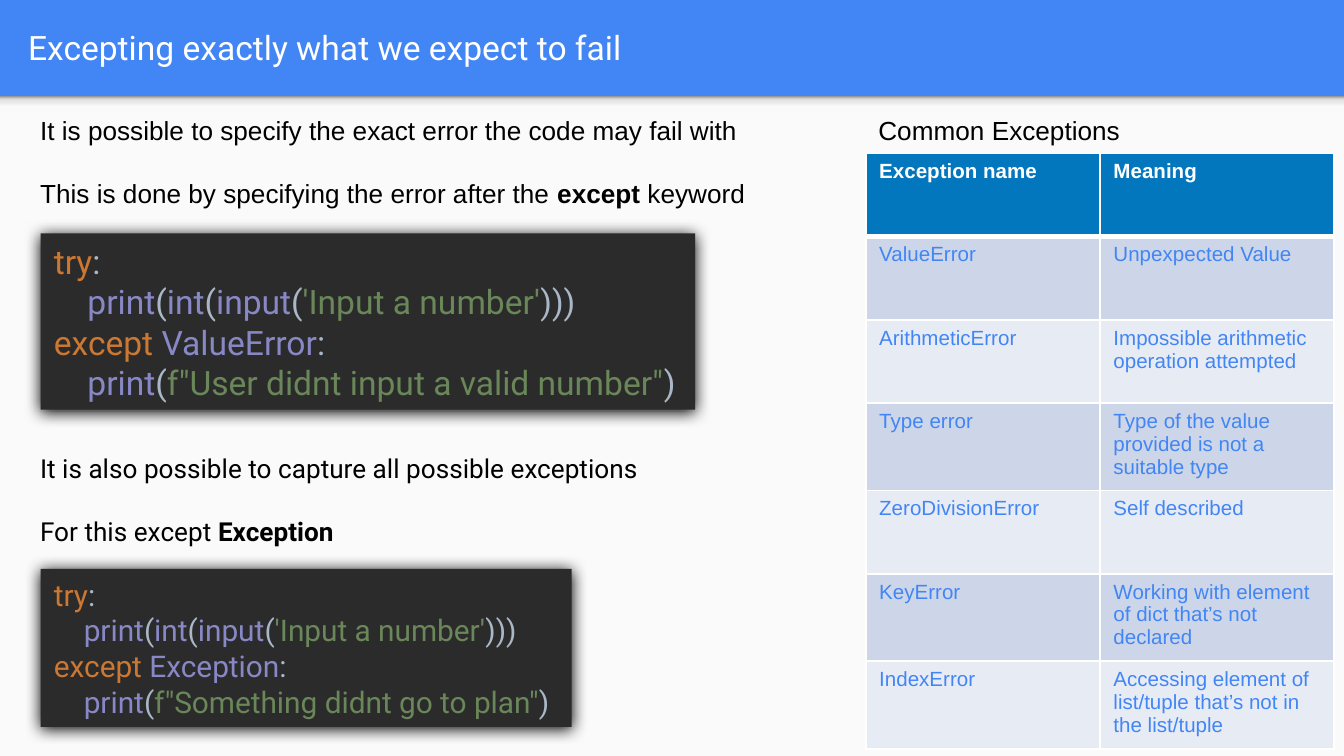
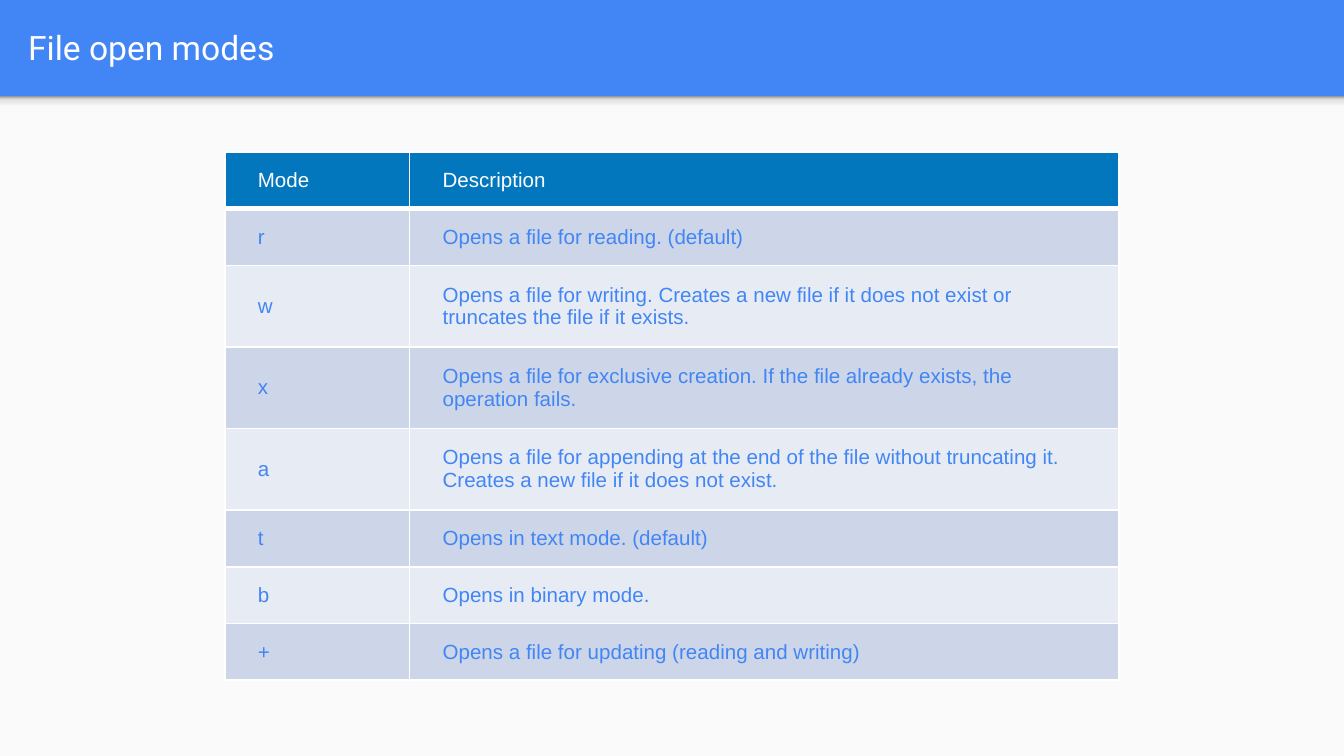
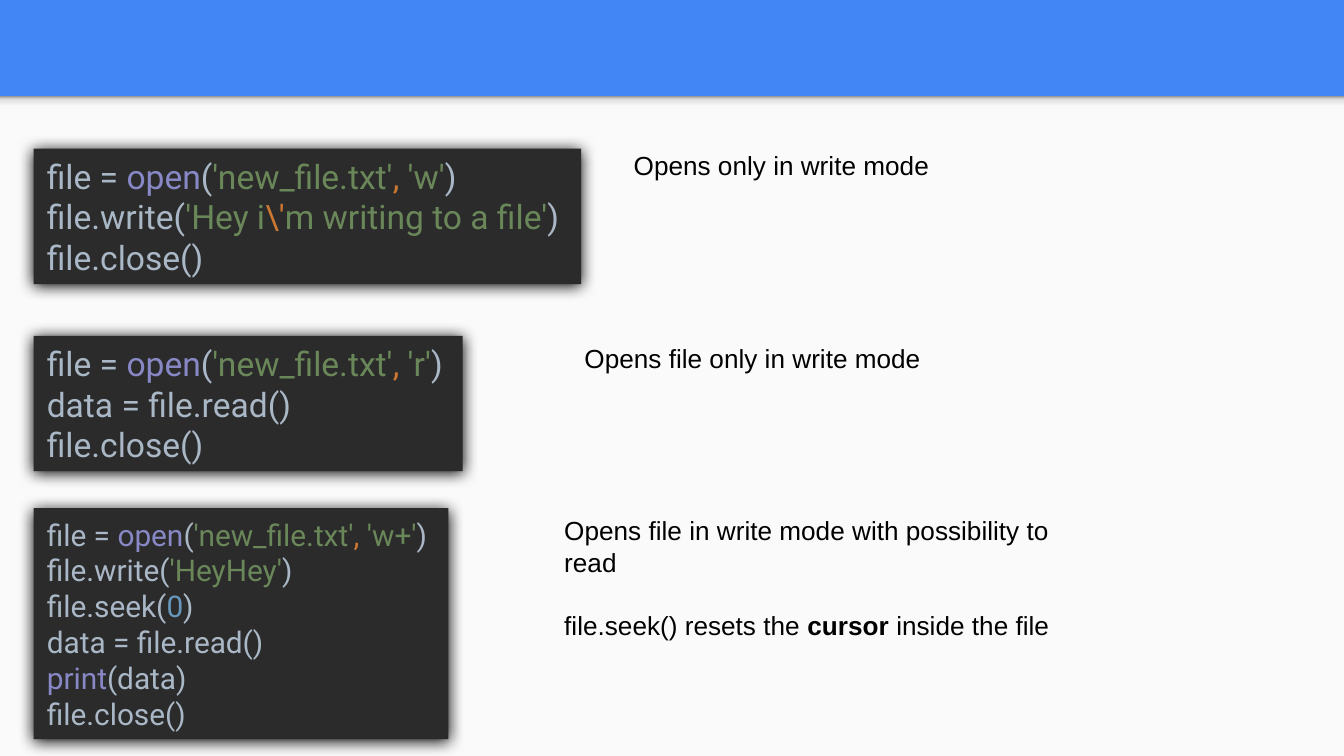
"""Build three slides on Python exceptions and file modes."""
from dataclasses import dataclass

from lxml import etree
from pptx import Presentation
from pptx.dml.color import RGBColor
from pptx.enum.shapes import MSO_SHAPE
from pptx.enum.text import MSO_ANCHOR, PP_ALIGN
from pptx.oxml.ns import qn
from pptx.util import Pt

RECTANGLE = MSO_SHAPE.RECTANGLE
TOP, MIDDLE = MSO_ANCHOR.TOP, MSO_ANCHOR.MIDDLE
LEFT = PP_ALIGN.LEFT


@dataclass(frozen=True)
class Theme:
    blue: str = "4285F4"
    paper: str = "FAFAFA"
    white: str = "FFFFFF"
    black: str = "000000"
    code_panel: str = "2B2B2B"
    header: str = "0277BD"
    bands: tuple = ("CCD6E8", "E7ECF4")
    band_shade: tuple = ((0, "F9F9F9"), (36, "F9F9F9"), (80, "DEDEDE"), (100, "999999"))
    body_font: str = "Arial"
    code_font: str = "Roboto"
    title_size: int = 18
    body_size: int = 14
    table_size: int = 11


THEME = Theme()
SYNTAX = {
    "plain": "A9B7C6", "keyword": "CC7832", "builtin": "8888C6",
    "string": "6A8759", "number": "6897BB",
}
SLIDE_WIDTH, SLIDE_HEIGHT, BAND_HEIGHT = 720, 405, 51.5
PARAGRAPH_GAP = 17


def plain(text):
    return 0, [(text, "plain")]


def try_code(error, message):
    return [
        (0, [("try", "keyword"), (":", "plain")]),
        (1, [("print", "builtin"), ("(", "plain"), ("int", "builtin"), ("(", "plain"),
             ("input", "builtin"), ("(", "plain"), ("'Input a number'", "string"),
             (")))", "plain")]),
        (0, [("except ", "keyword"), (error, "builtin"), (":", "plain")]),
        (1, [("print", "builtin"), ("(", "plain"), (f'f"{message}"', "string"),
             (")", "plain")]),
    ]


def open_code(mode):
    return 0, [("file = ", "plain"), ("open", "builtin"), ("(", "plain"),
               ("'new_file.txt'", "string"), (", ", "keyword"),
               (f"'{mode}'", "string"), (")", "plain")]


READ, CLOSE = plain("data = file.read()"), plain("file.close()")

SLIDES = [
    {
        "title": "Excepting exactly what we expect to fail",
        "notes": [
            ((14.4, 57.6, 675, 58), THEME.body_font, [
                plain("It is possible to specify the exact error the code may fail with"),
                (0, [("This is done by specifying the error after the ", "plain"),
                     ("except", "bold"), (" keyword", "plain")]),
            ]),
            ((14.4, 239, 426, 58), THEME.code_font, [
                plain("It is also possible to capture all possible exceptions"),
                (0, [("For this except ", "plain"), ("Exception", "bold")]),
            ]),
            ((463.5, 57.6, 216, 24.5), THEME.body_font, [plain("Common Exceptions")]),
        ],
        "code": [
            ((21.8, 125, 350.6, 94.5), 18,
             try_code("ValueError", "User didnt input a valid number")),
            ((21.8, 304.8, 284.5, 84.6), 16,
             try_code("Exception", "Something didnt go to plan")),
        ],
        "table": {
            "place": (463.8, 82.2), "widths": (125.5, 125.5), "row_height": 44.6,
            "margins": (7.2, 3.6), "anchor": TOP, "bold_header": True,
            "rows": [
                ("Exception name", "Meaning"),
                ("ValueError", "Unpexpected Value"),
                ("ArithmeticError", "Impossible arithmetic operation attempted"),
                ("Type error", "Type of the value provided is not a suitable type"),
                ("ZeroDivisionError", "Self described"),
                ("KeyError", "Working with element of dict that’s not declared"),
                ("IndexError",
                 "Accessing element of list/tuple that’s not in the list/tuple"),
            ],
        },
    },
    {
        "title": "File open modes",
        "table": {
            "place": (120.4, 81.5), "widths": (99, 380.2), "row_height": 30,
            "margins": (17.75, 8.6), "anchor": MIDDLE, "bold_header": False,
            "rows": [
                ("Mode", "Description"),
                ("r", "Opens a file for reading. (default)"),
                ("w", "Opens a file for writing. Creates a new file if it does not "
                      "exist or truncates the file if it exists."),
                ("x", "Opens a file for exclusive creation. If the file already "
                      "exists, the operation fails."),
                ("a", "Opens a file for appending at the end of the file without "
                      "truncating it. Creates a new file if it does not exist."),
                ("t", "Opens in text mode. (default)"),
                ("b", "Opens in binary mode."),
                ("+", "Opens a file for updating (reading and writing)"),
            ],
        },
    },
    {
        "code": [
            ((18, 79.7, 293.3, 72.5), 18, [
                open_code("w"),
                (0, [("file.write(", "plain"), ("'Hey i", "string"), ("\\'", "keyword"),
                     ("m writing to a file'", "string"), (")", "plain")]),
                CLOSE,
            ]),
            ((18, 180, 229.8, 72.5), 18, [open_code("r"), READ, CLOSE]),
            ((18, 272.3, 222.2, 123.7), 16, [
                open_code("w+"),
                (0, [("file.write(", "plain"), ("'HeyHey'", "string"), (")", "plain")]),
                (0, [("file.seek(", "plain"), ("0", "number"), (")", "plain")]),
                READ,
                (0, [("print", "builtin"), ("(data)", "plain")]),
                CLOSE,
            ]),
        ],
        "notes": [
            ((332.4, 76.5, 293, 24.5), THEME.body_font,
             [plain("Opens only in write mode")]),
            ((306, 180, 262, 24.5), THEME.body_font,
             [plain("Opens file only in write mode")]),
            ((295.2, 272.3, 293, 75), THEME.body_font, [
                plain("Opens file in write mode with possibility to read"),
                (0, [("file.seek() resets the ", "plain"), ("cursor", "bold"),
                     (" inside the file", "plain")]),
            ]),
        ],
    },
]


def points(values):
    return [Pt(value) for value in values]


def rgb(color):
    return RGBColor.from_string(color)


def write(frame, lines, *, size, font, color=THEME.black, syntax=None, bold=False,
          anchor=TOP, margins=(7.2, 3.6), gap=0):
    frame.word_wrap = True
    frame.vertical_anchor = anchor
    frame.margin_left = frame.margin_right = Pt(margins[0])
    frame.margin_top = frame.margin_bottom = Pt(margins[1])
    for number, (depth, runs) in enumerate(lines):
        line = frame.add_paragraph() if number else frame.paragraphs[0]
        line.alignment = LEFT
        if number and gap:
            line.space_before = Pt(gap)
        if depth:
            line._p.get_or_add_pPr().set("marL", str(Pt(size * depth)))
        for text, role in runs:
            run = line.add_run()
            run.text = text
            run.font.size = Pt(size)
            run.font.name = font
            run.font.bold = bold or role == "bold"
            run.font.color.rgb = rgb((syntax or {}).get(role, color))


def add_rectangle(slide, place, color):
    rectangle = slide.shapes.add_shape(RECTANGLE, *points(place))
    rectangle.fill.solid()
    rectangle.fill.fore_color.rgb = rgb(color)
    rectangle.line.fill.background()
    rectangle.shadow.inherit = False
    return rectangle


def add_color(parent, color):
    return etree.SubElement(parent, qn("a:srgbClr"), val=color)


def add_frame(slide, title):
    add_rectangle(slide, (0, BAND_HEIGHT, SLIDE_WIDTH, SLIDE_HEIGHT - BAND_HEIGHT),
                  THEME.paper)
    shade = add_rectangle(slide, (0, BAND_HEIGHT, SLIDE_WIDTH, 8.6), THEME.paper)
    shade.fill.gradient()
    shade.fill.gradient_angle = 90
    stops = shade._element.spPr.find(".//" + qn("a:gsLst"))
    for stop in list(stops):
        stops.remove(stop)
    for percent, color in THEME.band_shade:
        add_color(etree.SubElement(stops, qn("a:gs"), pos=str(percent * 1000)), color)
    if title:
        heading = slide.shapes.add_textbox(*points((8, 1.5, 695, 47.5)))
        write(heading.text_frame, [plain(title)], size=THEME.title_size,
              font=THEME.code_font, color=THEME.white, anchor=MIDDLE, margins=(7.2, 7.2))


def add_code(slide, place, size, lines):
    panel = add_rectangle(slide, place, THEME.code_panel)
    effects = panel._element.spPr.find(qn("a:effectLst"))
    glow = etree.SubElement(effects, qn("a:outerShdw"), blurRad=str(Pt(8.5)),
                            dist=str(Pt(1)), dir="5400000", algn="ctr", rotWithShape="0")
    add_color(glow, THEME.black)
    write(panel.text_frame, lines, size=size, font=THEME.code_font, syntax=SYNTAX,
          anchor=MIDDLE)


def add_note(slide, place, font, lines):
    note = slide.shapes.add_textbox(*points(place))
    write(note.text_frame, lines, size=THEME.body_size, font=font, gap=PARAGRAPH_GAP)


def set_borders(cell, row):
    widths = {"L": 1, "R": 1, "T": 3 if row == 1 else 1, "B": 3 if row == 0 else 1}
    properties = cell._tc.get_or_add_tcPr()
    for position, (side, width) in enumerate(widths.items()):
        border = etree.Element(qn(f"a:ln{side}"), w=str(Pt(width)))
        add_color(etree.SubElement(border, qn("a:solidFill")), THEME.white)
        properties.insert(position, border)


def add_grid(slide, place, widths, row_height, margins, anchor, bold_header, rows):
    size = (sum(widths), row_height * len(rows))
    grid = slide.shapes.add_table(len(rows), len(widths), *points(place + size)).table
    grid.horz_banding = False
    for column, width in zip(grid.columns, widths):
        column.width = Pt(width)
    for row, texts in enumerate(rows):
        grid.rows[row].height = Pt(row_height)
        is_header = row == 0
        for column, text in enumerate(texts):
            cell = grid.cell(row, column)
            cell.fill.solid()
            cell.fill.fore_color.rgb = rgb(
                THEME.header if is_header else THEME.bands[(row - 1) % 2])
            cell.vertical_anchor = anchor
            cell.margin_left = cell.margin_right = Pt(margins[0])
            cell.margin_top = cell.margin_bottom = Pt(margins[1])
            set_borders(cell, row)
            write_cell = cell.text_frame.paragraphs[0].add_run()
            write_cell.text = text
            write_cell.font.size = Pt(THEME.table_size)
            write_cell.font.name = THEME.body_font
            write_cell.font.bold = is_header and bold_header
            write_cell.font.color.rgb = rgb(THEME.white if is_header else THEME.blue)


def main():
    deck = Presentation()
    deck.slide_width, deck.slide_height = Pt(SLIDE_WIDTH), Pt(SLIDE_HEIGHT)
    backdrop = deck.slide_master.background.fill
    backdrop.solid()
    backdrop.fore_color.rgb = rgb(THEME.blue)
    for content in SLIDES:
        slide = deck.slides.add_slide(deck.slide_layouts[6])
        add_frame(slide, content.get("title"))
        for note in content.get("notes", []):
            add_note(slide, *note)
        for code in content.get("code", []):
            add_code(slide, *code)
        if "table" in content:
            add_grid(slide, **content["table"])
    deck.save("out.pptx")


if __name__ == "__main__":
    main()
